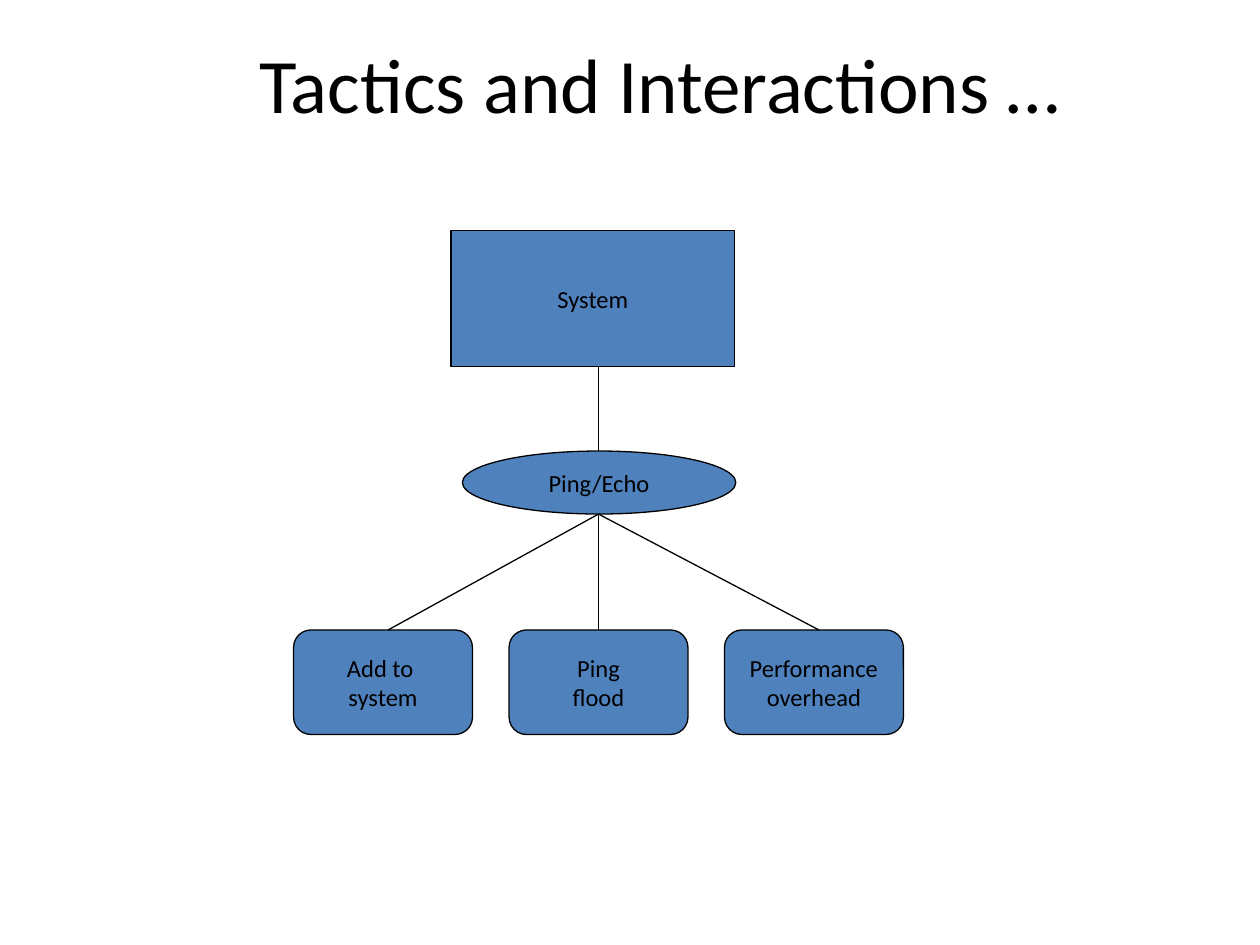
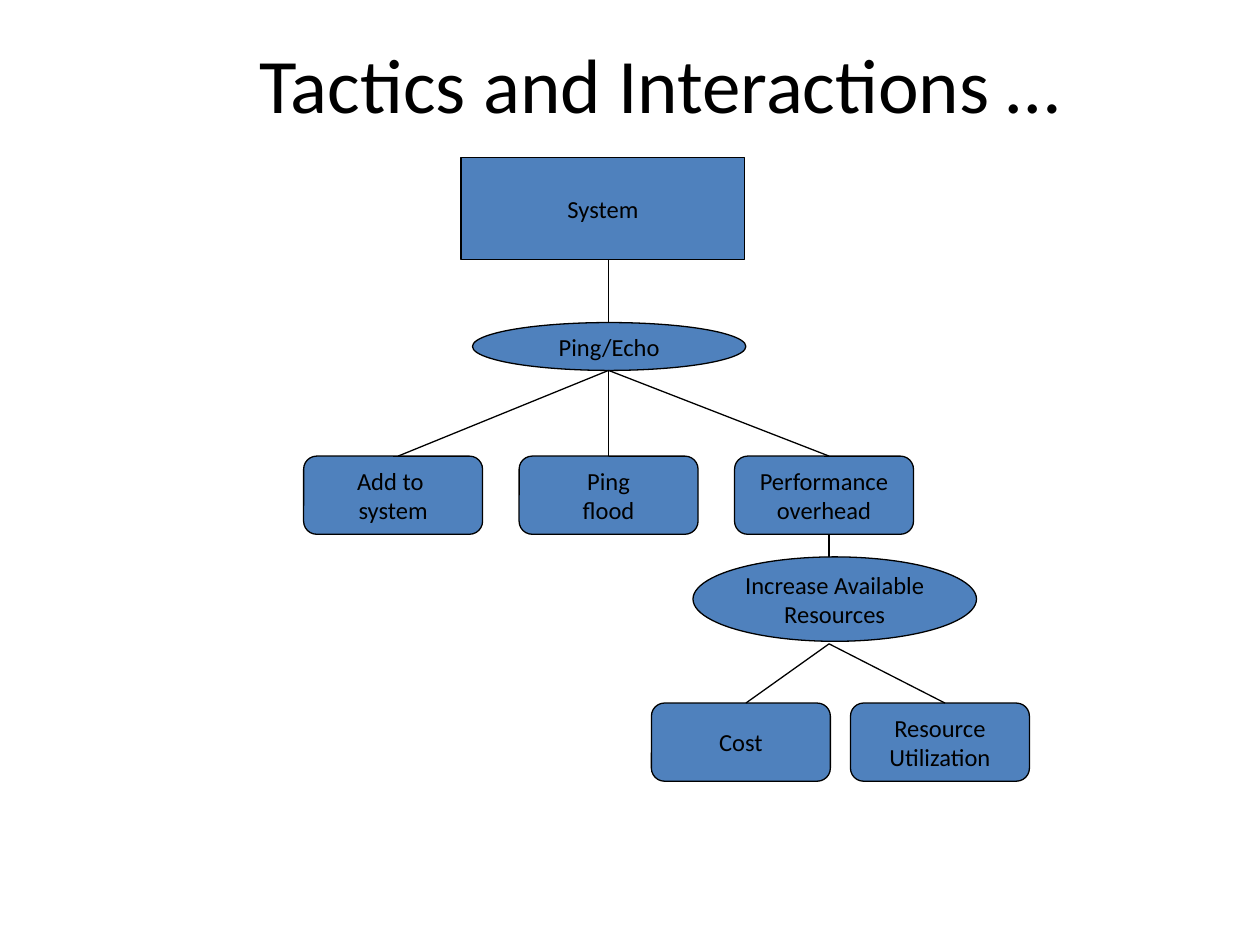
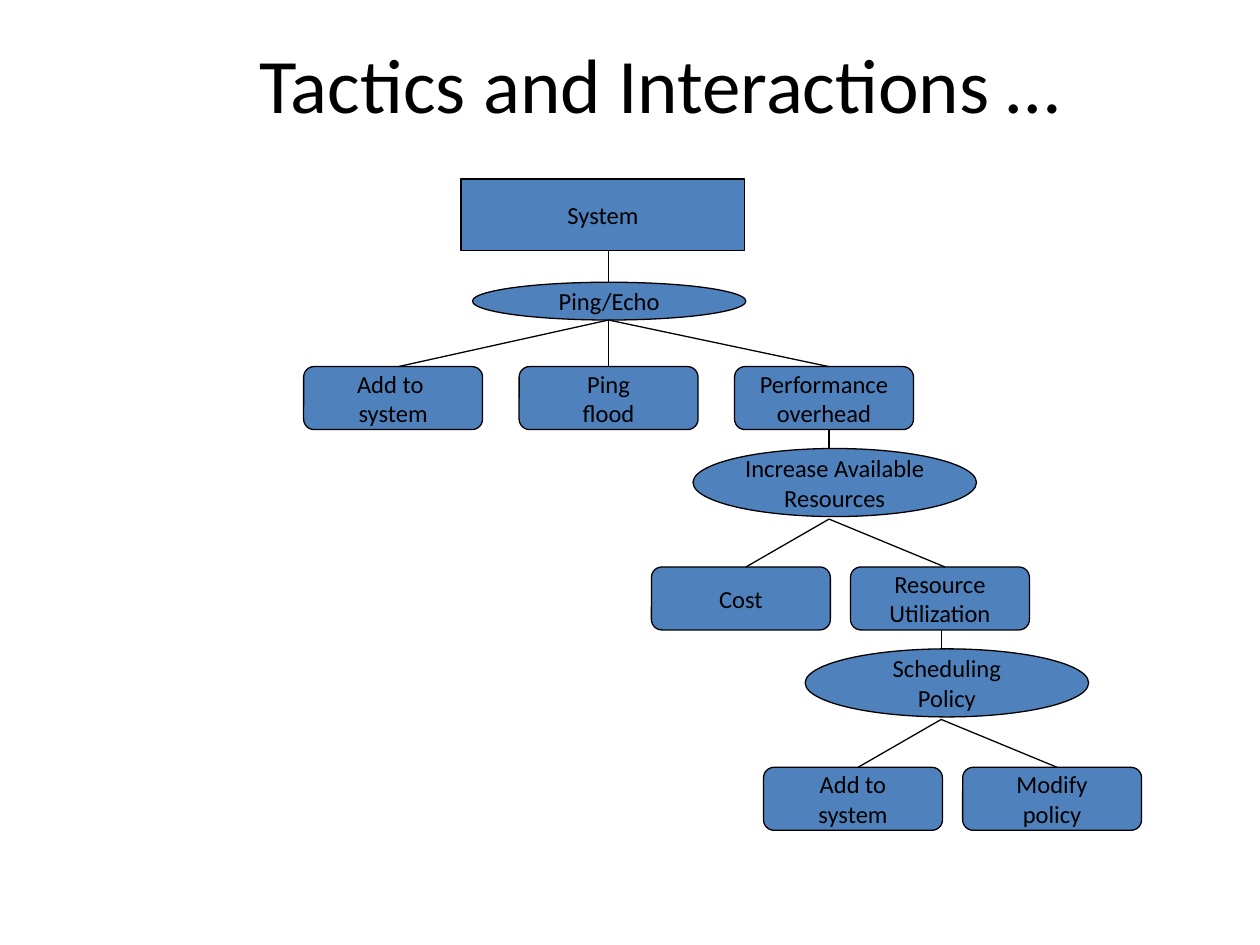
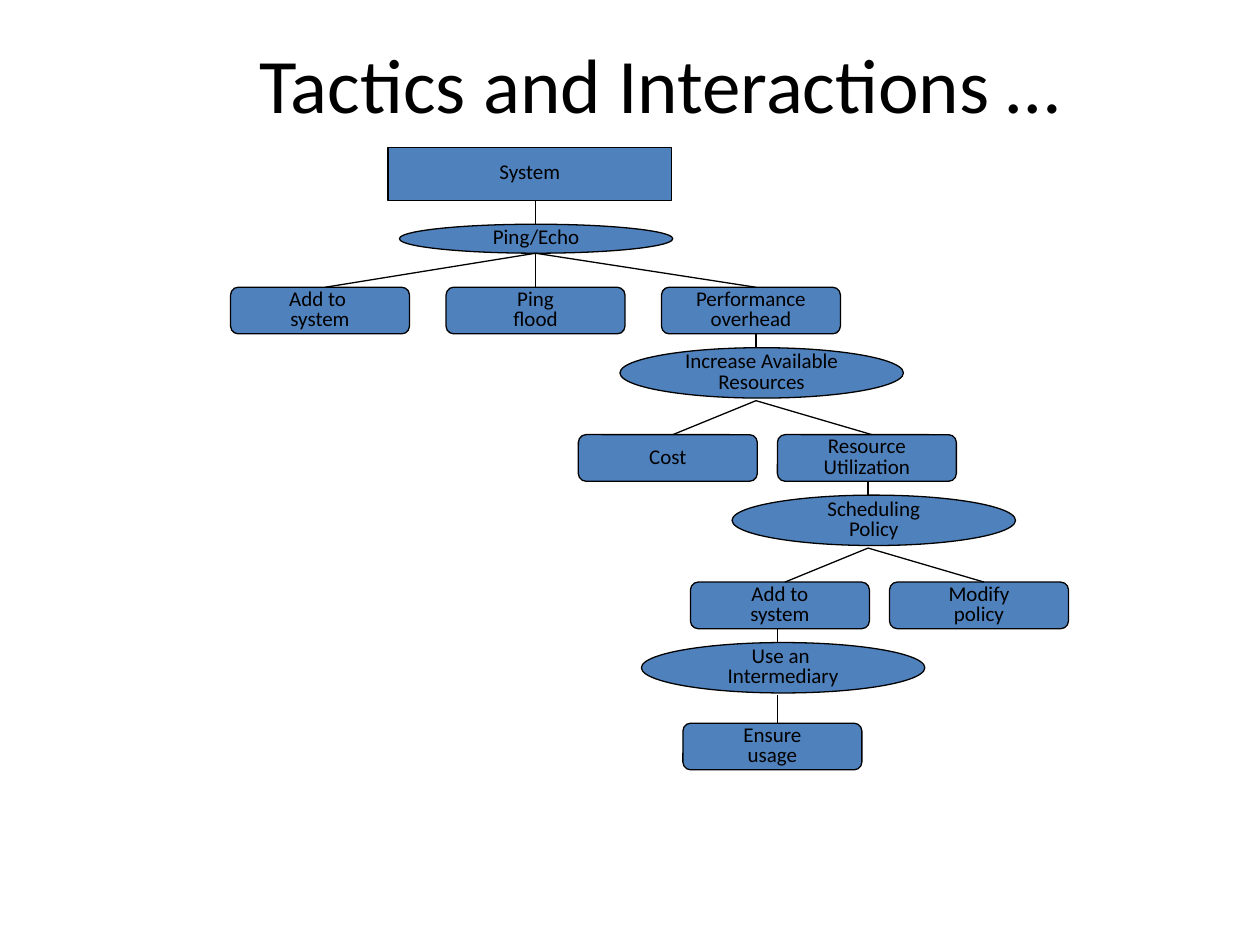
from dataclasses import dataclass

from pptx import Presentation
from pptx.dml.color import RGBColor
from pptx.enum.shapes import MSO_CONNECTOR, MSO_SHAPE
from pptx.enum.text import MSO_ANCHOR, PP_ALIGN
from pptx.oxml.ns import qn
from pptx.util import Inches, Pt
from lxml import etree

RECT, OVAL, ROUNDED = MSO_SHAPE.RECTANGLE, MSO_SHAPE.OVAL, MSO_SHAPE.ROUNDED_RECTANGLE
STRAIGHT = MSO_CONNECTOR.STRAIGHT
MIDDLE, CENTER = MSO_ANCHOR.MIDDLE, PP_ALIGN.CENTER

BLUE = RGBColor(0x4F, 0x81, 0xBD)
BLACK = RGBColor(0, 0, 0)
FONT = "Calibri"
LINE_WIDTH = Pt(0.75)
TITLE = "Tactics and Interactions …"

# Horizontal rules, in inches from the stem of each tactic
SYSTEM_WIDTH, PING_WIDTH, TACTIC_WIDTH, EFFECT_WIDTH = 2.25, 2.17, 2.25, 1.42
SYSTEM_OFFSET, TACTIC_OFFSET = -1.17, -1.08
PING_EFFECTS_OFFSET, PING_PITCH = -2.42, 1.71
PAIR_OFFSET, PAIR_PITCH = -1.41, 1.58
SINGLE_OFFSET = -0.75
LINK_INSET = 0.75  # where a link meets the top of an effect
TAIL = 0.02  # space between a tactic and the links below it

PING_EFFECTS = ["Add to \nsystem", "Ping\nflood", "Performance\noverhead"]
# Each further tactic: stem shift from the previous stem, label, effects
RESOURCES = (1.75, "Increase Available\nResources", ["Cost", "Resource\nUtilization"])
SCHEDULING = (0.89, "Scheduling\nPolicy", ["Add to\nsystem", "Modify\npolicy"])
INTERMEDIARY = (-0.72, "Use an \nIntermediary", ["Ensure\nusage"])


@dataclass
class Layout:
    """Stem position, row heights and text style of one tree."""
    stem: float
    top: float
    system: float
    link: float
    ping: float
    ping_fan: float
    effect: float
    gap: float = 0
    tactic: float = 0
    fan: float = 0
    single_fan: float = 0
    size: int = 14
    spacing: float = 1.0


def write(frame, text, size, spacing):
    frame.vertical_anchor = MIDDLE
    frame.text = text
    for paragraph in frame.paragraphs:
        paragraph.alignment = CENTER
        paragraph.line_spacing = spacing
        paragraph.font.name = FONT
        paragraph.font.size = Pt(size)
        paragraph.font.color.rgb = BLACK


def add_title(slide):
    title = slide.shapes.add_textbox(Inches(0.98), Inches(0.3), Inches(8.52), Inches(0.85))
    title.text_frame.word_wrap = True
    write(title.text_frame, TITLE, 44, 0.8)


def add_node(tree, layout, kind, text, left, top, width, height):
    node = tree.shapes.add_shape(kind, Inches(left), Inches(top), Inches(width), Inches(height))
    node.shadow.inherit = False
    node.fill.solid()
    node.fill.fore_color.rgb = BLUE
    node.line.color.rgb = BLACK
    node.line.width = LINE_WIDTH
    node.text_frame.word_wrap = False
    write(node.text_frame, text, layout.size, layout.spacing)


def add_link(tree, x1, y1, x2, y2):
    link = tree.shapes.add_connector(STRAIGHT, Inches(x1), Inches(y1), Inches(x2), Inches(y2))
    link.line.color.rgb = BLACK
    link.line.width = LINE_WIDTH
    etree.SubElement(link._element.spPr, qn("a:effectLst"))


def add_effects(tree, layout, effects, stem, fork, top, offset, pitch):
    """Place a row of effects linked to the fork; return the row's bottom."""
    for i, effect in enumerate(effects):
        left = stem + offset + i * pitch
        end = left + LINK_INSET
        if abs(end - stem) < 0.1:  # keep the central link upright
            end = stem
        add_node(tree, layout, ROUNDED, effect, left, top, EFFECT_WIDTH, layout.effect)
        add_link(tree, stem, fork, end, top)
    return top + layout.effect


def add_system(tree, layout):
    """Place the system, its first tactic and the effects of that tactic."""
    stem, bottom = layout.stem, layout.top + layout.system
    add_node(tree, layout, RECT, "System", stem + SYSTEM_OFFSET, layout.top,
             SYSTEM_WIDTH, layout.system)
    ping_top = bottom + layout.link
    add_link(tree, stem, bottom, stem, ping_top)
    add_node(tree, layout, OVAL, "Ping/Echo", stem + TACTIC_OFFSET, ping_top,
             PING_WIDTH, layout.ping)
    fork = ping_top + layout.ping
    return add_effects(tree, layout, PING_EFFECTS, stem, fork, fork + layout.ping_fan,
                       PING_EFFECTS_OFFSET, PING_PITCH)


def add_tactic(tree, layout, label, effects, stem, top):
    """Place one further tactic below an effect that ends at top."""
    tactic_top = top + layout.gap
    add_link(tree, stem, top, stem, tactic_top + layout.tactic / 2)
    add_node(tree, layout, OVAL, label, stem + TACTIC_OFFSET, tactic_top,
             TACTIC_WIDTH, layout.tactic)
    bottom = tactic_top + layout.tactic
    single = len(effects) == 1
    fan = layout.single_fan if single else layout.fan
    offset = SINGLE_OFFSET if single else PAIR_OFFSET
    return add_effects(tree, layout, effects, stem, bottom + TAIL, bottom + fan,
                       offset, PAIR_PITCH)


def add_tree_slide(prs, layout, tactics):
    slide = prs.slides.add_slide(prs.slide_layouts[6])
    add_title(slide)
    tree = slide.shapes.add_group_shape()
    bottom = add_system(tree, layout)
    stem = layout.stem
    for shift, label, effects in tactics:
        stem += shift
        bottom = add_tactic(tree, layout, label, effects, stem, bottom)


def main():
    prs = Presentation()
    prs.slide_width, prs.slide_height = Inches(10), Inches(7.5)

    # The tree grows by one tactic on each slide
    layouts = [
        Layout(stem=4.75, top=1.83, system=1.08, link=0.67, ping=0.5, ping_fan=0.92,
               effect=0.83),
        Layout(stem=4.83, top=1.25, system=0.81, link=0.5, ping=0.38, ping_fan=0.68,
               effect=0.62, gap=0.18, tactic=0.67, fan=0.49),
        Layout(stem=4.83, top=1.42, system=0.57, link=0.25, ping=0.3, ping_fan=0.37,
               effect=0.5, gap=0.15, tactic=0.54, fan=0.4),
        Layout(stem=4.25, top=1.17, system=0.42, link=0.19, ping=0.23, ping_fan=0.27,
               effect=0.37, gap=0.11, tactic=0.4, fan=0.29, single_fan=0.24,
               size=12, spacing=0.8),
    ]
    tactics = [RESOURCES, SCHEDULING, INTERMEDIARY]
    for count, layout in enumerate(layouts):
        add_tree_slide(prs, layout, tactics[:count])

    prs.save("out.pptx")


if __name__ == "__main__":
    main()
